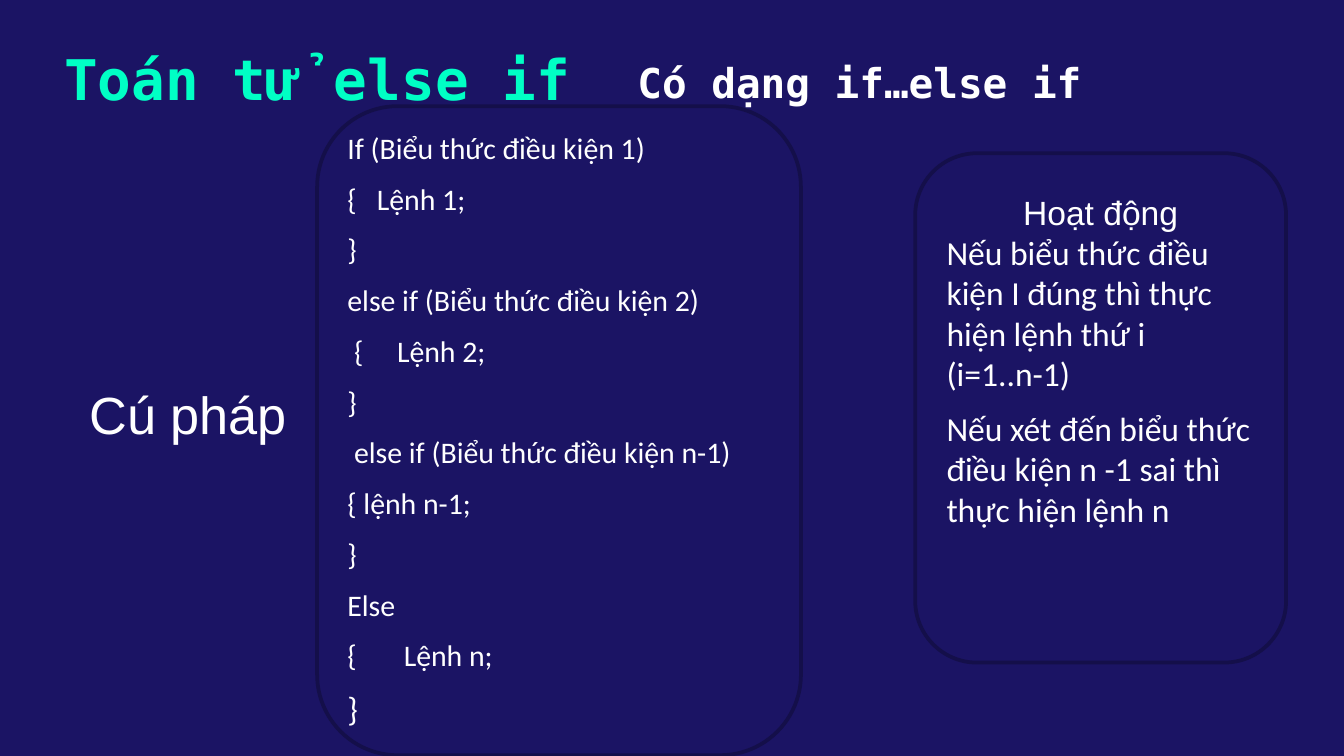
from dataclasses import dataclass

from pptx import Presentation
from pptx.dml.color import RGBColor
from pptx.enum.shapes import MSO_SHAPE
from pptx.enum.text import MSO_ANCHOR, PP_ALIGN
from pptx.util import Emu, Pt

ROUNDED = MSO_SHAPE.ROUNDED_RECTANGLE
LEFT, CENTER = PP_ALIGN.LEFT, PP_ALIGN.CENTER
TOP, MIDDLE, BOTTOM = MSO_ANCHOR.TOP, MSO_ANCHOR.MIDDLE, MSO_ANCHOR.BOTTOM

EMU_PER_PX = 4572  # 200 px to the inch
NAVY, DARK_NAVY, MINT, WHITE = "1B1464", "140F4A", "00FFC5", "FFFFFF"
MONO, BODY, LABEL = "DejaVu Sans Mono", "Calibri", "Arial"


@dataclass
class Line:
    text: str
    size: int
    font: str = BODY
    color: str = WHITE
    bold: bool = False
    align: PP_ALIGN = LEFT
    space_after: int = 0
    indent: int = 0
    gap: float = 0


@dataclass
class Box:
    left: int
    top: int
    width: int
    height: int
    lines: list[Line]
    rounded: bool = False
    outlined: bool = False
    anchor: MSO_ANCHOR = TOP
    insets: tuple[int, int, int, int] = (20, 10, 20, 10)


def px(value: int) -> Emu:
    return Emu(value * EMU_PER_PX)


def rgb(value: str) -> RGBColor:
    return RGBColor.from_string(value)


def add_run(paragraph, text: str, line: Line, spacing: float = 0) -> None:
    run = paragraph.add_run()
    run.text = text
    run.font.name = line.font
    run.font.size = Pt(line.size)
    run.font.bold = line.bold
    run.font.color.rgb = rgb(line.color)
    if spacing:
        run.font._element.set("spc", str(round(spacing * 100)))


def add_line(paragraph, line: Line) -> None:
    """Fill a paragraph; a gap, in points, widens the first space."""
    paragraph.alignment = line.align
    paragraph.space_after = Pt(line.space_after)
    properties = paragraph._p.get_or_add_pPr()
    properties.set("marL", str(px(line.indent)))
    properties.set("indent", "0")
    if line.gap:
        before, space, after = line.text.partition(" ")
        add_run(paragraph, before, line)
        add_run(paragraph, space, line, line.gap)
        add_run(paragraph, after, line)
    else:
        add_run(paragraph, line.text, line)


def add_box(slide, box: Box) -> None:
    bounds = [px(value) for value in (box.left, box.top, box.width, box.height)]
    if box.rounded:
        shape = slide.shapes.add_shape(ROUNDED, *bounds)
        shape.shadow.inherit = False
    else:
        shape = slide.shapes.add_textbox(*bounds)
    if box.outlined:
        shape.fill.solid()
        shape.fill.fore_color.rgb = rgb(NAVY)
        shape.line.color.rgb = rgb(DARK_NAVY)
        shape.line.width = Pt(2)
    else:
        shape.fill.background()
        shape.line.fill.background()

    frame = shape.text_frame
    frame.word_wrap = True
    frame.vertical_anchor = box.anchor
    (frame.margin_left, frame.margin_top,
     frame.margin_right, frame.margin_bottom) = map(px, box.insets)
    for index, line in enumerate(box.lines):
        paragraph = frame.add_paragraph() if index else frame.paragraphs[0]
        add_line(paragraph, line)


def code(text: str, size: int = 16, indent: int = 0, gap: float = 0) -> Line:
    return Line(text, size, space_after=8, indent=indent, gap=gap)


SYNTAX = [
    code("If (Biểu thức điều kiện 1)"),
    code("{ Lệnh 1;", gap=7.2),
    code("}"),
    code("else if (Biểu thức điều kiện 2)"),
    code("{ Lệnh 2;", indent=10, gap=14.4),
    code("}"),
    code("else if (Biểu thức điều kiện n-1)", indent=10),
    code("{ lệnh n-1;"),
    code("}"),
    code("Else"),
    code("{ Lệnh n;", gap=21.6),
    code("}", size=18),
]
BEHAVIOUR = [
    Line("Hoạt động", 18, LABEL, align=CENTER),
    Line("Nếu biểu thức điều kiện I đúng thì thực hiện lệnh thứ i (i=1..n-1)",
         18, space_after=8),
    Line("Nếu xét đến biểu thức điều kiện n -1 sai thì thực hiện lệnh n",
         18, space_after=8),
]
BOXES = [
    Box(472, 158, 720, 966, [], rounded=True, outlined=True),
    Box(-248, 46, 1440, 146,
        [Line("Toán tử else if", 30, MONO, MINT, bold=True, align=CENTER)],
        insets=(20, 20, 20, 20)),
    Box(740, 81, 1078, 78,
        [Line("Có dạng if…else if", 22, MONO, bold=True, align=CENTER)],
        anchor=BOTTOM, insets=(20, 0, 20, 0)),
    Box(472, 193, 720, 852, SYNTAX, insets=(45, 0, 20, 20)),
    Box(88, 503, 384, 226, [Line("Cú pháp", 28, LABEL, align=CENTER)],
        rounded=True, anchor=MIDDLE),
    Box(1362, 228, 552, 758, BEHAVIOUR, rounded=True, outlined=True,
        insets=(20, 30, 20, 10)),
]


def main() -> None:
    presentation = Presentation()
    presentation.slide_width, presentation.slide_height = px(2000), px(1125)
    slide = presentation.slides.add_slide(presentation.slide_layouts[6])
    slide.background.fill.solid()
    slide.background.fill.fore_color.rgb = rgb(NAVY)
    for box in BOXES:
        add_box(slide, box)
    presentation.save("out.pptx")


if __name__ == "__main__":
    main()
